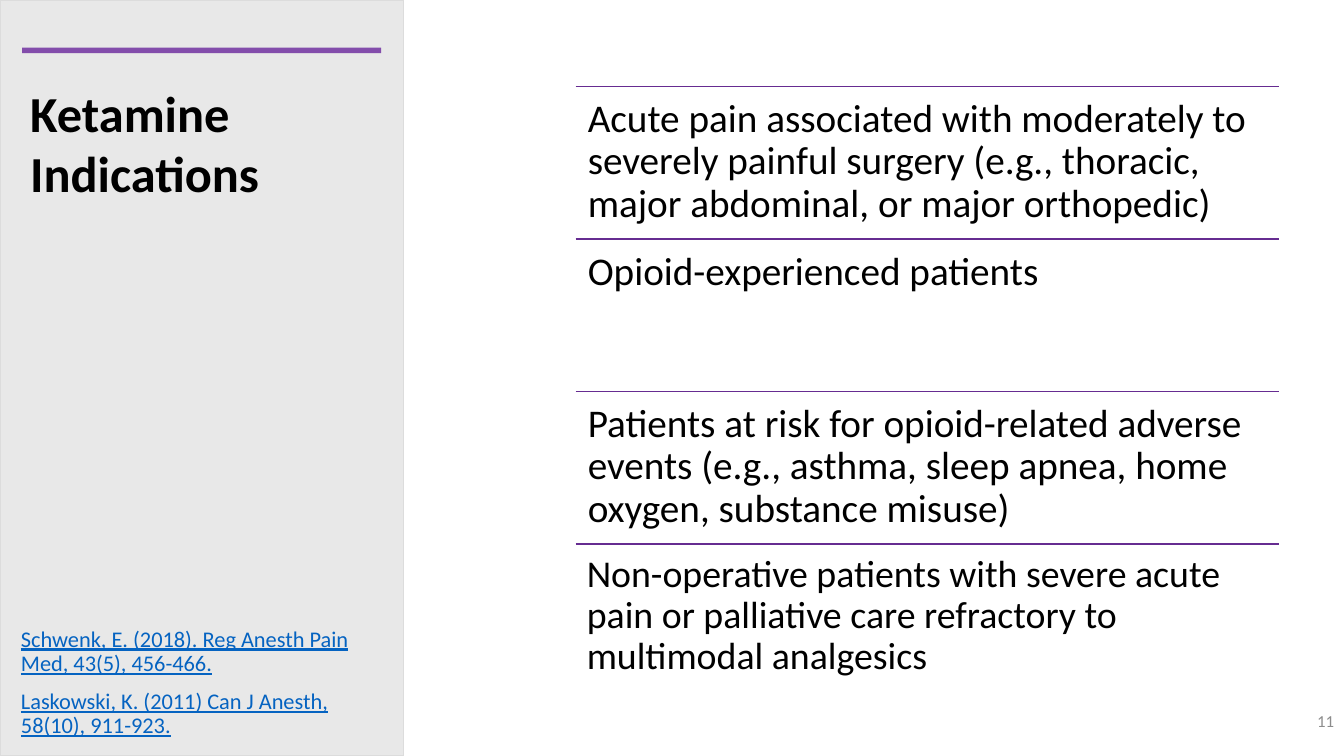
from lxml.etree import SubElement
from pptx import Presentation
from pptx.dml.color import RGBColor
from pptx.enum.shapes import MSO_CONNECTOR, MSO_SHAPE
from pptx.enum.text import MSO_ANCHOR, MSO_AUTO_SIZE, PP_ALIGN
from pptx.oxml.ns import qn
from pptx.util import Pt

PX = 9144  # 100 px to the inch
BLACK = RGBColor(0x00, 0x00, 0x00)
PANEL_GREY = RGBColor(0xBF, 0xBF, 0xBF)
PANEL_EDGE = RGBColor(0xDC, 0xDC, 0xDC)
ACCENT_PURPLE = RGBColor(0x70, 0x30, 0xA0)
RULE_PURPLE = RGBColor(0x66, 0x2C, 0x91)
LINK_BLUE = RGBColor(0x05, 0x63, 0xC1)
NUMBER_GREY = RGBColor(0x8C, 0x8C, 0x8C)

TITLE = "Ketamine Indications"
INDICATIONS = [
    # text, font size, inset
    ("Acute pain associated with moderately to severely painful surgery "
     "(e.g., thoracic, major abdominal, or major orthopedic)", 28, 12),
    ("Opioid-experienced patients", 28, 12),
    ("Patients at risk for opioid-related adverse events "
     "(e.g., asthma, sleep apnea, home oxygen, substance misuse)", 28, 12),
    ("Non-operative patients with severe acute pain or palliative care "
     "refractory to multimodal analgesics", 27, 11),
]
REFERENCES = [
    "Schwenk, E. (2018). Reg Anesth Pain Med, 43(5), 456-466.",
    "Laskowski, K. (2011) Can J Anesth, 58(10), 911-923.",
]
PAGE_NUMBER = "11"

PAGE_WIDTH, PAGE_HEIGHT = 1333, 750
PANEL_WIDTH = 400
LIST_LEFT, LIST_TOP, LIST_WIDTH = 571, 86, 698
LIST_BOTTOM = 691


def set_opacity(fill_format, percent):
    color = fill_format._xPr.find(qn("a:solidFill"))[0]
    SubElement(color, qn("a:alpha"), val=str(percent * 1000))


def add_rule(page, left, right, y, color, weight):
    rule = page.shapes.add_connector(
        MSO_CONNECTOR.STRAIGHT, *(round(n * PX) for n in (left, y, right, y)))
    rule.line.color.rgb = color
    rule.line.width = Pt(weight)
    SubElement(rule._element.spPr, qn("a:effectLst"))
    return rule


def write(box, texts, font, paragraph=None, gap=0):
    """Fill a box with one paragraph per text, with a gap in points between."""
    frame = box.text_frame
    frame.word_wrap = True
    for index, text in enumerate(texts):
        para = frame.paragraphs[0] if index == 0 else frame.add_paragraph()
        span = para.add_run()
        span.text = text
        for name, value in (paragraph or {}).items():
            setattr(para, name, value)
        if index:
            para.space_before = Pt(gap)
        span.font.color.rgb = font["color"]
        for name, value in font.items():
            if name != "color":
                setattr(span.font, name, value)


def add_text(page, place, texts, font, paragraph=None, gap=0):
    box = page.shapes.add_textbox(*(round(n * PX) for n in place))
    write(box, texts, font, paragraph, gap)
    return box.text_frame


def text_font(size, color, **extra):
    return {"name": "Calibri", "size": Pt(size), "color": color, **extra}


def add_panel(page):
    panel = page.shapes.add_shape(
        MSO_SHAPE.RECTANGLE, 0, 0, PANEL_WIDTH * PX, PAGE_HEIGHT * PX)
    panel.shadow.inherit = False
    panel.fill.solid()
    panel.fill.fore_color.rgb = PANEL_GREY
    set_opacity(panel.fill, 35)
    panel.line.color.rgb = PANEL_EDGE
    panel.line.width = Pt(1)
    accent = add_rule(page, 22, PANEL_WIDTH - 22, 50, ACCENT_PURPLE, 4)
    set_opacity(accent.line.fill, 83)


def place_title(page):
    title = page.shapes.title
    for name, value in zip(("left", "top", "width", "height"), (20, 76, 326, 130)):
        setattr(title, name, value * PX)
    title.text_frame.vertical_anchor = MSO_ANCHOR.TOP
    title.text_frame.auto_size = MSO_AUTO_SIZE.SHAPE_TO_FIT_TEXT
    write(title, [TITLE], text_font(36, BLACK, bold=True), {"alignment": PP_ALIGN.LEFT})
    # Bring the title in front of the panel
    page.shapes._spTree.append(title._element)


def add_indications(page):
    step = (LIST_BOTTOM - LIST_TOP) / len(INDICATIONS)
    for index, (text, size, inset) in enumerate(INDICATIONS):
        top = LIST_TOP + index * step
        add_rule(page, LIST_LEFT, LIST_LEFT + LIST_WIDTH, top, RULE_PURPLE, 1)
        frame = add_text(page, (LIST_LEFT, top, LIST_WIDTH, step), [text],
                         text_font(size, BLACK), {"line_spacing": 0.9})
        for side in ("left", "top", "right", "bottom"):
            setattr(frame, f"margin_{side}", inset * PX)


def main():
    deck = Presentation()
    deck.slide_width, deck.slide_height = PAGE_WIDTH * PX, PAGE_HEIGHT * PX
    page = deck.slides.add_slide(deck.slide_layouts.get_by_name("Title Only"))
    add_panel(page)
    add_text(page, (11, 618, 373, 117), REFERENCES,
             text_font(16, LINK_BLUE, underline=True), {"line_spacing": 0.9}, gap=10)
    place_title(page)
    add_indications(page)
    number = add_text(page, (1033, 695, 300, 40), [PAGE_NUMBER],
                      text_font(12, NUMBER_GREY), {"alignment": PP_ALIGN.RIGHT})
    number.vertical_anchor = MSO_ANCHOR.MIDDLE
    deck.save("out.pptx")


if __name__ == "__main__":
    main()
